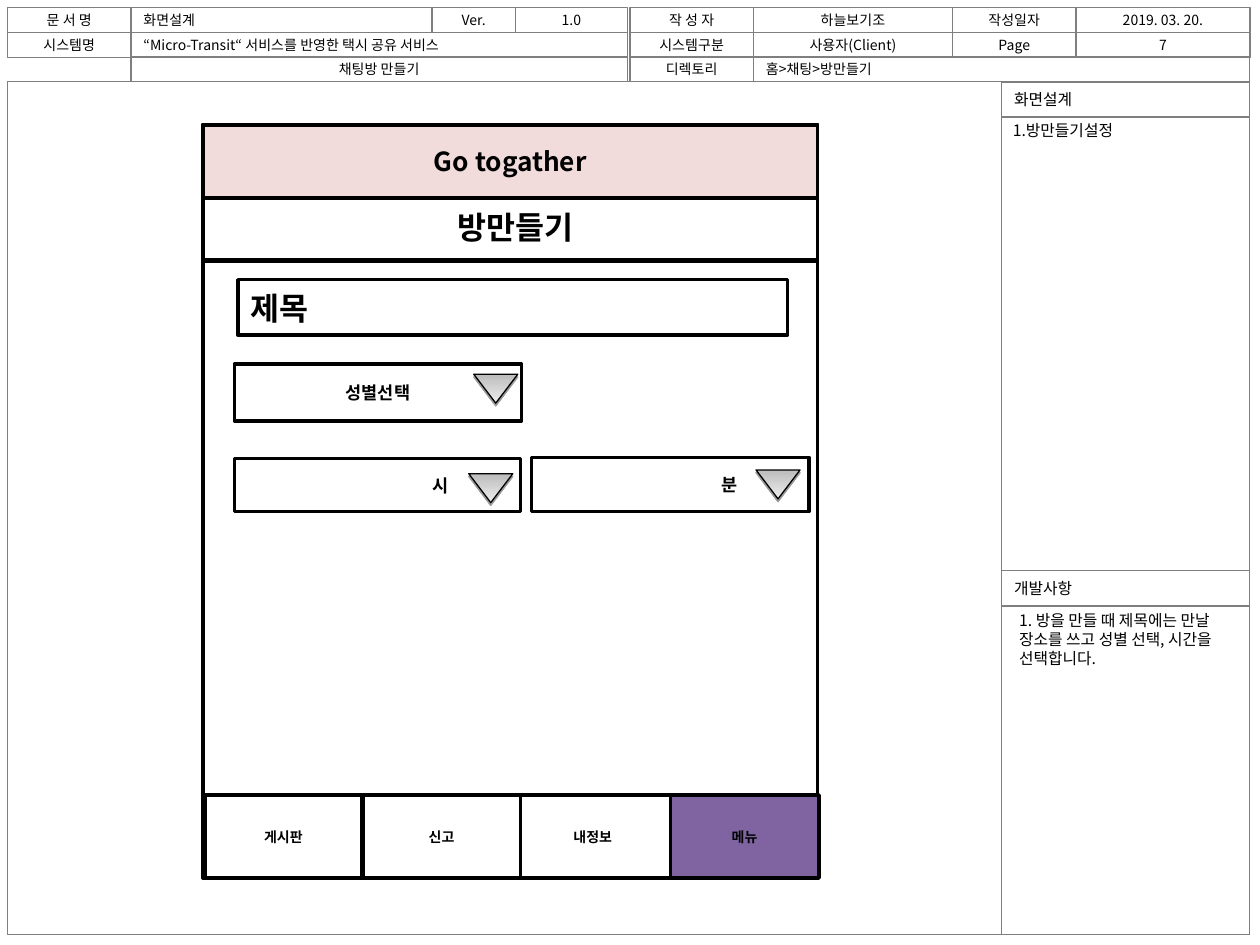
from lxml.etree import SubElement
from pptx import Presentation
from pptx.dml.color import RGBColor
from pptx.enum.shapes import MSO_CONNECTOR, MSO_SHAPE
from pptx.enum.text import MSO_ANCHOR, MSO_AUTO_SIZE, PP_ALIGN
from pptx.oxml.ns import qn
from pptx.util import Inches, Pt

FONT = "Noto Sans CJK KR"
BLACK, WHITE, GRAY, PINK, PURPLE = "000000", "FFFFFF", "7F7F7F", "F2DCDB", "8064A2"
LEFT, CENTER, RIGHT = PP_ALIGN.LEFT, PP_ALIGN.CENTER, PP_ALIGN.RIGHT

ROW_TOPS, ROW_HEIGHT = (0.06, 0.26, 0.45), 0.2
PAGE_TITLE = "채팅방 만들기"
HEADER = [
    [(0.06, 1.04, "문 서 명", CENTER), (1.04, 3.43, "화면설계", LEFT),
     (3.43, 4.09, "Ver.", CENTER), (4.09, 4.98, "1.0", CENTER),
     (5, 5.98, "작 성 자", CENTER), (5.98, 7.56, "하늘보기조", CENTER),
     (7.56, 8.54, "작성일자", CENTER), (8.54, 9.92, "2019. 03. 20.", CENTER)],
    [(0.06, 1.04, "시스템명", CENTER),
     (1.04, 4.98, "“Micro-Transit“ 서비스를 반영한 택시 공유 서비스", LEFT),
     (5, 5.98, "시스템구분", CENTER), (5.98, 7.56, "사용자(Client)", CENTER),
     (7.56, 8.54, "Page", CENTER), (8.54, 9.92, "7", CENTER)],
    [(1.04, 4.98, PAGE_TITLE, CENTER), (5, 5.98, "디렉토리", CENTER),
     (5.98, 9.92, "홈>채팅>방만들기", LEFT)],
]
PANELS = [
    (0.65, 0.93, 4.53, "화면설계", "1.방만들기설정", 7.94, 0.91),
    (4.53, 4.81, 7.42, "개발사항",
     "1. 방을 만들 때 제목에는 만날 장소를 쓰고 성별 선택, 시간을 선택합니다.", 7.99, 4.8),
]
MENU = [(1.63, 1.24, "게시판", WHITE), (4.05, 1.31, "내정보", WHITE),
        (5.32, 1.18, "메뉴", PURPLE), (2.88, 1.25, "신고", WHITE)]
DROPDOWNS = [
    ((1.86, 2.89, 2.28, 0.45), "성별선택", CENTER, (3.76, 2.97)),
    ((1.86, 3.64, 2.27, 0.42), "시", RIGHT, (3.72, 3.76)),
    ((4.22, 3.63, 2.2, 0.43), "분", RIGHT, (6, 3.73)),
]


def color(value):
    return RGBColor.from_string(value)


def write(shape, text, size, align=CENTER, bold=False, anchor=MSO_ANCHOR.MIDDLE, wrap=True):
    frame = shape.text_frame
    frame.text = text
    frame.word_wrap = wrap
    frame.auto_size = MSO_AUTO_SIZE.NONE
    frame.vertical_anchor = anchor
    paragraph = frame.paragraphs[0]
    paragraph.alignment = align
    for run in paragraph.runs:
        run.font.size = Pt(size)
        run.font.bold = bold
        run.font.color.rgb = color(BLACK)
        run.font.name = FONT
        SubElement(run.font._element, qn("a:ea"), typeface=FONT)


def outline(shape, line, width):
    shape.line.color.rgb = color(line)
    shape.line.width = Pt(width)


def box(bounds, fill=None, line=BLACK, width=2):
    shape = slide.shapes.add_shape(MSO_SHAPE.RECTANGLE, *map(Inches, bounds))
    shape.shadow.inherit = False
    if fill:
        shape.fill.solid()
        shape.fill.fore_color.rgb = color(fill)
    else:
        shape.fill.background()
    outline(shape, line, width)
    return shape


def frame_cell(bounds):
    return box(bounds, line=GRAY, width=0.75)


def label(bounds, text, size, **style):
    write(slide.shapes.add_textbox(*map(Inches, bounds)), text, size,
          anchor=MSO_ANCHOR.TOP, **style)


def arrow_button(left, top):
    arrow = slide.shapes.add_shape(MSO_SHAPE.FLOWCHART_MERGE, Inches(left), Inches(top),
                                   Inches(0.35), Inches(0.23))
    arrow.fill.gradient()
    arrow.fill.gradient_angle = 270
    for stop, shade in zip(arrow.fill.gradient_stops, ("BCBCBC", "EDEDED")):
        stop.color.rgb = color(shade)
    outline(arrow, BLACK, 0.75)
    arrow.shadow.inherit = False
    effects = arrow._element.spPr.find(qn("a:effectLst"))
    shadow = SubElement(effects, qn("a:outerShdw"), blurRad="0", dist=str(Pt(1.6)),
                        dir="5400000", rotWithShape="0")
    shadow_color = SubElement(shadow, qn("a:srgbClr"), val=BLACK)
    SubElement(shadow_color, qn("a:alpha"), val="38000")


prs = Presentation()
prs.slide_width, prs.slide_height = Inches(10), Inches(7.5)
slide = prs.slides.add_slide(prs.slide_layouts[5])

frame_cell((0.06, 0.65, 9.86, 6.77))
for top, cells in zip(ROW_TOPS, HEADER):
    for left, right, text, align in cells:
        bounds = (left, top, right - left, ROW_HEIGHT)
        if text == PAGE_TITLE:
            cell = slide.shapes.title
            cell.left, cell.top, cell.width, cell.height = map(Inches, bounds)
            outline(cell, GRAY, 0.75)
        else:
            cell = frame_cell(bounds)
        write(cell, text, 8, align)

for top, divider, bottom, heading, note, note_left, note_top in PANELS:
    write(frame_cell((7.95, top, 1.97, divider - top)), heading, 9, LEFT)
    frame_cell((7.95, divider, 1.97, bottom - divider))
    label((note_left, note_top, 2.01, 0.72), note, 9, align=LEFT)

box((1.61, 0.99, 4.88, 5.98), WHITE)
write(box((1.61, 0.99, 4.88, 0.58), PINK), "Go togather", 15, bold=True)
label((3.53, 1.6, 1.12, 0.4), "방만들기", 18, bold=True, wrap=False)

divider_line = slide.shapes.add_connector(
    MSO_CONNECTOR.STRAIGHT, Inches(1.63), Inches(2.07), Inches(6.5), Inches(2.07))
outline(divider_line, BLACK, 3)
SubElement(divider_line._element.spPr, qn("a:effectLst"))

write(box((1.89, 2.22, 4.36, 0.44), WHITE), "제목", 18, LEFT, bold=True)
for bounds, text, align, arrow_position in DROPDOWNS:
    dropdown = box(bounds, WHITE)
    write(dropdown, text, 10, align, bold=True)
    if align == RIGHT:
        dropdown.text_frame.margin_right = Inches(0.57)
    arrow_button(*arrow_position)

for left, width, text, fill in MENU:
    write(box((left, 6.31, width, 0.66), fill), text, 8, bold=True)

prs.save("out.pptx")
